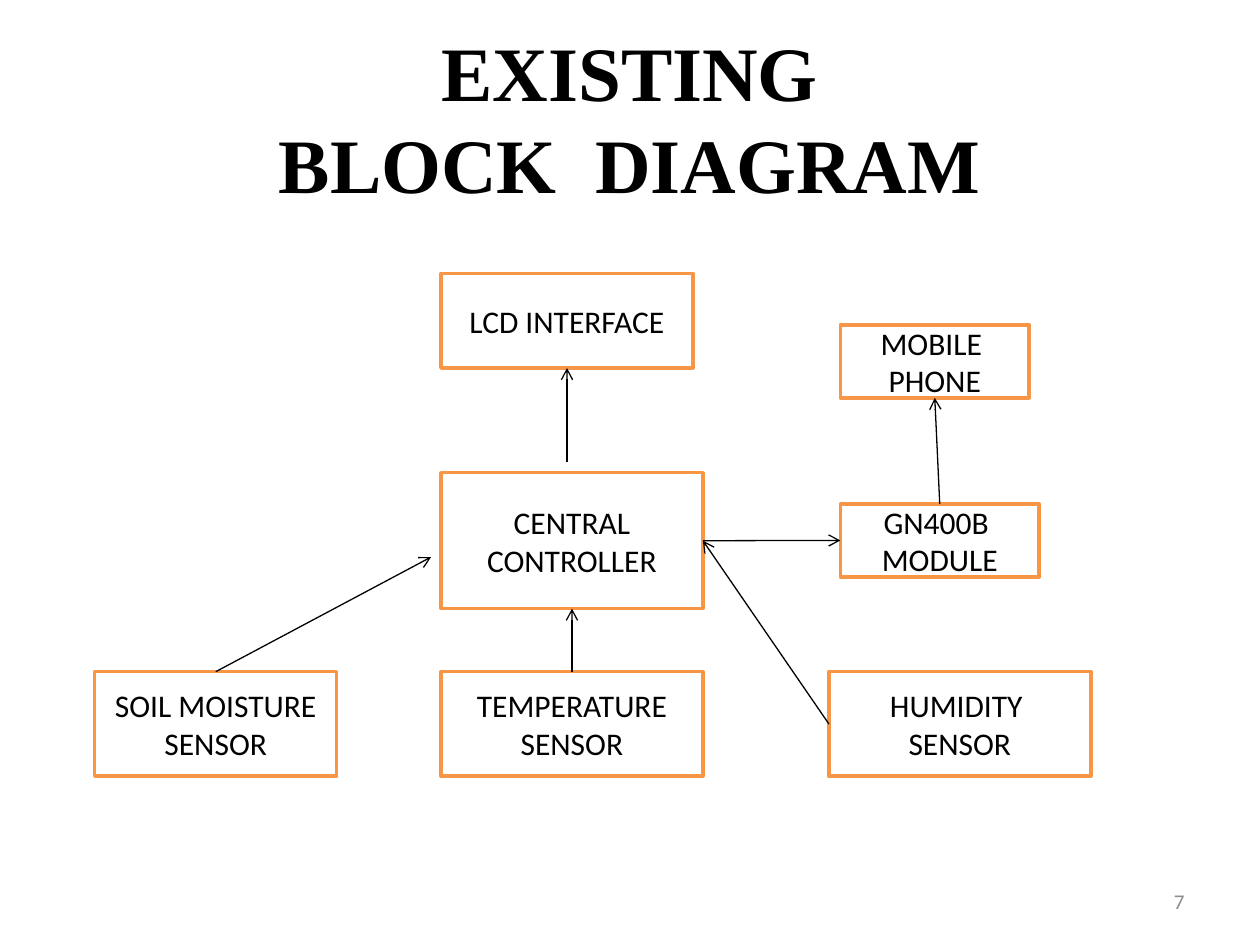
from lxml import etree
from pptx import Presentation
from pptx.dml.color import RGBColor
from pptx.enum import shapes, text
from pptx.oxml import ns
from pptx.util import Cm, Pt

BLACK = RGBColor(0x00, 0x00, 0x00)
WHITE = RGBColor(0xFF, 0xFF, 0xFF)
ORANGE = RGBColor(0xF7, 0x96, 0x46)
GREY = RGBColor(0x8C, 0x8C, 0x8C)

TOP, LEFT, BOTTOM, RIGHT = range(4)
SENSOR_TOP = 8.03
COLUMN = 6.98
RADIO_LEFT = 15.03

BLOCKS = {
    "display": (COLUMN, 0, 5.08, 1.91, "LCD INTERFACE"),
    "soil": (0, SENSOR_TOP, 4.88, 2.11, "SOIL MOISTURE SENSOR"),
    "temperature": (COLUMN, SENSOR_TOP, 5.28, 2.11, "TEMPERATURE\nSENSOR"),
    "humidity": (14.8, SENSOR_TOP, 5.28, 2.11, "HUMIDITY \nSENSOR"),
    "controller": (COLUMN, 4.02, 5.28, 2.74, "CENTRAL\nCONTROLLER"),
    "phone": (RADIO_LEFT, 1.04, 3.81, 1.47, "MOBILE \nPHONE"),
    "module": (RADIO_LEFT, 4.65, 4.01, 1.47, "GN400B \nMODULE"),
}

ARROWS = [
    (("soil", TOP), (6.78, 5.72)),
    (("temperature", TOP), ("controller", BOTTOM)),
    ((9.52, 3.81), ("display", BOTTOM)),
    (("humidity", LEFT), ("controller", RIGHT)),
    (("controller", RIGHT), ("module", LEFT)),
    (("module", TOP), ("phone", BOTTOM)),
]


def write(shape, words, size, colour, align, font="Calibri", bold=False):
    frame = shape.text_frame
    frame.word_wrap = True
    frame.vertical_anchor = text.MSO_ANCHOR.MIDDLE
    frame.text = words
    for para in frame.paragraphs:
        para.alignment = align
        para.font.name = font
        para.font.size = Pt(size)
        para.font.bold = bold
        para.font.color.rgb = colour


def add_heading(page, left, top, width, height):
    box = page.shapes.add_textbox(Cm(left), Cm(top), Cm(width), Cm(height))
    write(box, "EXISTING\vBLOCK  DIAGRAM", 44, BLACK,
          text.PP_ALIGN.CENTER, "Times New Roman", True)


def add_page_number(page, left, top, width, height):
    box = page.shapes.add_textbox(Cm(left), Cm(top), Cm(width), Cm(height))
    write(box, "7", 12, GREY, text.PP_ALIGN.RIGHT)


def add_block(page, left, top, width, height, words):
    box = page.shapes.add_shape(shapes.MSO_SHAPE.RECTANGLE,
                                Cm(left), Cm(top), Cm(width), Cm(height))
    box.shadow.inherit = False
    box.fill.solid()
    box.fill.fore_color.rgb = WHITE
    box.line.color.rgb = ORANGE
    box.line.width = Pt(2)
    write(box, words, 18, BLACK, text.PP_ALIGN.CENTER)
    return box


def add_arrow(page, start, end):
    arrow = page.shapes.add_connector(shapes.MSO_CONNECTOR.STRAIGHT,
                                      *start, *end)
    arrow.line.color.rgb = BLACK
    arrow.line.width = Pt(0.75)
    properties = arrow.element.spPr
    outline = properties.find(ns.qn("a:ln"))
    etree.SubElement(outline, ns.qn("a:tailEnd"), type="arrow")
    etree.SubElement(properties, ns.qn("a:effectLst"))
    return arrow


def side_middle(box, side):
    across = {TOP: 0.5, LEFT: 0, BOTTOM: 0.5, RIGHT: 1}[side]
    down = {TOP: 0, LEFT: 0.5, BOTTOM: 1, RIGHT: 0.5}[side]
    return (int(box.left + across * box.width),
            int(box.top + down * box.height))


def add_diagram(page, left, top):
    boxes = {
        name: add_block(page, left + x, top + y, width, height, words)
        for name, (x, y, width, height, words) in BLOCKS.items()
    }

    def locate(joint):
        if joint[0] in boxes:
            return side_middle(boxes[joint[0]], joint[1])
        return Cm(left + joint[0]), Cm(top + joint[1])

    for start, end in ARROWS:
        arrow = add_arrow(page, locate(start), locate(end))
        if start[0] in boxes:
            arrow.begin_connect(boxes[start[0]], start[1])
        if end[0] in boxes:
            arrow.end_connect(boxes[end[0]], end[1])


def main():
    deck = Presentation()
    deck.slide_width, deck.slide_height = Cm(25.4), Cm(19.05)
    page = deck.slides.add_slide(deck.slide_layouts[6])
    add_heading(page, 1.27, 0.76, 22.86, 3.18)
    add_page_number(page, 18.2, 17.66, 5.93, 1.01)
    add_diagram(page, 1.91, 5.51)
    deck.save("out.pptx")


if __name__ == "__main__":
    main()
